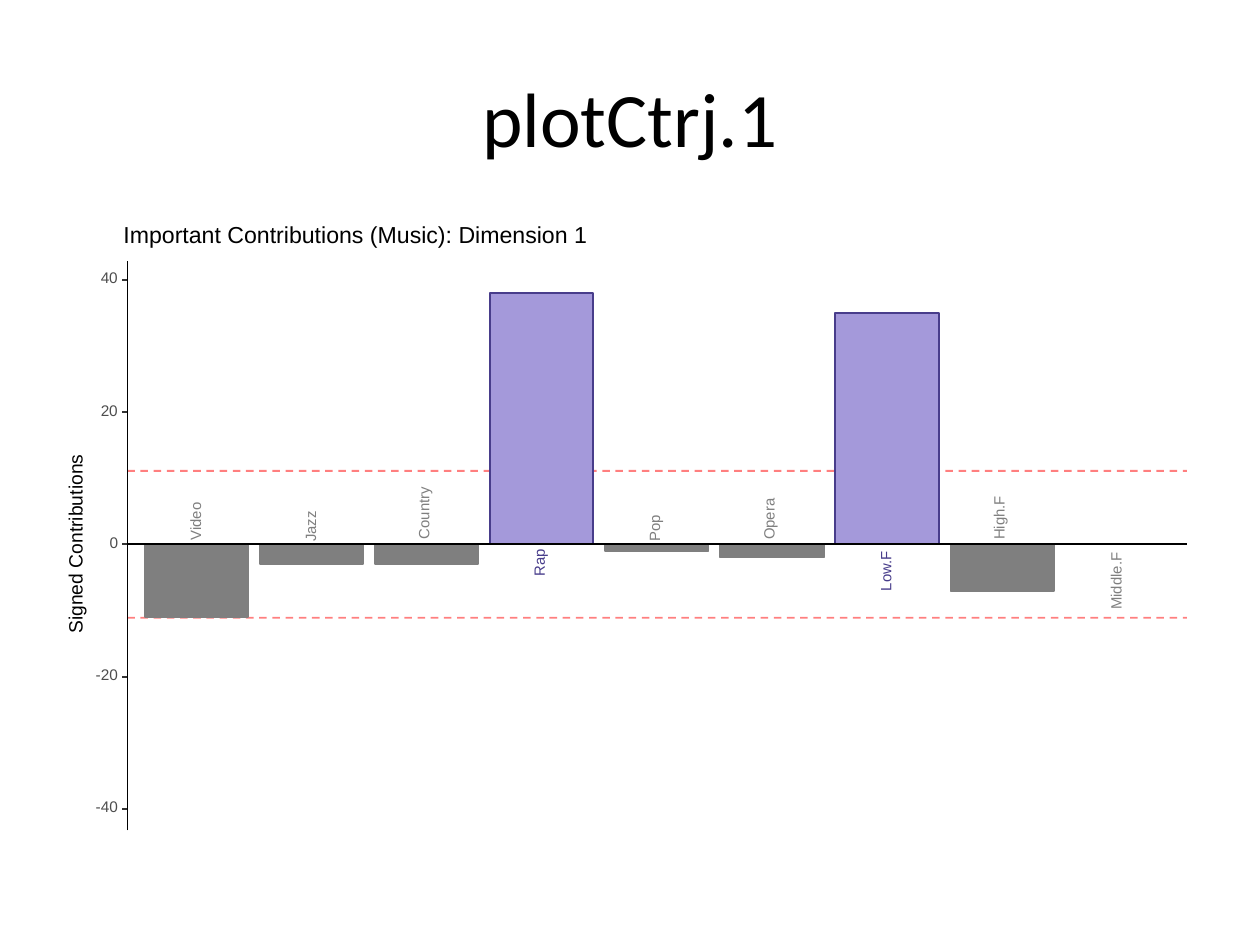
import pptx
import pptx.dml.color
import pptx.enum.dml
import pptx.enum.shapes
import pptx.enum.text
import pptx.oxml
import pptx.oxml.ns
import pptx.util
from pptx.util import Inches


def color(hex_string):
    return pptx.dml.color.RGBColor.from_string(hex_string)


def add_label(text, left, top, width, height, size, hex_string, rotation=0):
    box = plot.shapes.add_textbox(Inches(left), Inches(top), Inches(width), Inches(height))
    box.rotation = rotation
    frame = box.text_frame
    frame.margin_left = frame.margin_right = frame.margin_top = frame.margin_bottom = 0
    frame.vertical_anchor = pptx.enum.text.MSO_ANCHOR.MIDDLE
    frame.word_wrap = False
    paragraph = frame.paragraphs[0]
    paragraph.text = text
    paragraph.line_spacing = pptx.util.Pt(size)
    paragraph.font.size = pptx.util.Pt(size)
    paragraph.font.name = "Arial"
    paragraph.font.color.rgb = color(hex_string)


presentation = pptx.Presentation()
presentation.slide_width = Inches(10)
presentation.slide_height = Inches(7.5)
slide = presentation.slides.add_slide(presentation.slide_layouts[5])

title = slide.shapes.title
title.left, title.top, title.width, title.height = Inches(0.5), Inches(0.3), Inches(9), Inches(1.25)
title.text_frame.vertical_anchor = pptx.enum.text.MSO_ANCHOR.MIDDLE
paragraph = title.text_frame.paragraphs[0]
paragraph.text = "plotCtrj.1"
paragraph.alignment = pptx.enum.text.PP_ALIGN.CENTER
paragraph.font.size = pptx.util.Pt(44)
paragraph.font.name = "Calibri"
paragraph.font.color.rgb = color("000000")

plot = slide.shapes.add_group_shape()
axis_left, axis_right, axis_top, axis_bottom = 1.01, 9.42, 2.07, 6.59
zero = 4.32
inches_per_unit = 1.05 / 20
threshold = 11.1
bar_left, bar_width, bar_pitch = 1.15, 0.82, 8.22 / 9
ticks = [(-40, 0.18), (-20, 0.18), (0, 0.07), (20, 0.14), (40, 0.14)]

contributions = [
    ("Video", -11, 0.32, 0.09, 4.13),
    ("Jazz", -3, 0.26, 0.09, 4.17),
    ("Country", -3, 0.44, 0.12, 4.06),
    ("Rap", 38, 0.23, 0.11, 4.46),
    ("Pop", -1, 0.22, 0.11, 4.19),
    ("Opera", -2, 0.35, 0.12, 4.11),
    ("Low.F", 35, 0.34, 0.09, 4.52),
    ("High.F", -7, 0.37, 0.12, 4.1),
    ("Middle.F", 0, 0.48, 0.09, 4.6),
]

rectangles = [(0.5, 1.75, 9, 4.95, "FFFFFF", "FFFFFF")]
labels = []
for index, (name, value, length, height, middle) in enumerate(contributions):
    important = value > threshold
    fill, outline = ("A499DA", "483D8B") if important else ("7F7F7F", "7F7F7F")
    left = bar_left + index * bar_pitch
    top = zero - max(value, 0) * inches_per_unit
    rectangles.append((left, top, bar_width, abs(value) * inches_per_unit, fill, outline))
    center = left + bar_width / 2 + 0.045 - height / 2
    labels.append((name, center - length / 2, middle - height / 2, length, height, 8.5, outline, 270))

limits = [zero - sign * threshold * inches_per_unit for sign in (1, -1)]
limit_lines = [(axis_left, y, axis_right, y, "FF0000", 1.07) for y in limits]
axis_lines = [
    (axis_left, zero, axis_right, zero, "000000", 1.07),
    (axis_left, axis_bottom, axis_left, axis_top, "000000", 0.75),
]
for value, width in ticks:
    y = zero - value * inches_per_unit
    axis_lines.append((axis_left - 0.04, y, axis_left, y, "333333", 1.07))
    labels.append((str(value), 0.94 - width, y - 0.05, width, 0.09, 8.8, "4D4D4D"))
labels.append(("Signed Contributions", -0.14, 4.21, 1.5, 0.14, 11, "000000", 270))
labels.append(("Important Contributions (Music): Dimension 1", 0.98, 1.79, 3.9, 0.17, 13.2, "000000"))

for kind, items in (
    ("rectangle", rectangles[:1]),
    ("limit", limit_lines),
    ("rectangle", rectangles[1:]),
    ("axis", axis_lines),
):
    for item in items:
        first, second, third, fourth = [Inches(length) for length in item[:4]]
        if kind == "rectangle":
            shape = plot.shapes.add_shape(
                pptx.enum.shapes.MSO_SHAPE.RECTANGLE, first, second, third, fourth)
            shape.shadow.inherit = False
            shape.fill.solid()
            shape.fill.fore_color.rgb = color(item[4])
            shape.line.color.rgb = color(item[5])
            shape.line.width = pptx.util.Pt(1.07)
            continue
        connector = plot.shapes.add_connector(
            pptx.enum.shapes.MSO_CONNECTOR.STRAIGHT, first, second, third, fourth)
        connector.line.color.rgb = color(item[4])
        connector.line.width = pptx.util.Pt(item[5])
        if kind == "limit":
            connector.line.dash_style = pptx.enum.dml.MSO_LINE.DASH
            red = connector._element.spPr.find(".//" + pptx.oxml.ns.qn("a:srgbClr"))
            alpha = pptx.oxml.parse_xml("<a:alpha %s val='50000'/>" % pptx.oxml.ns.nsdecls("a"))
            red.append(alpha)
        effects = pptx.oxml.parse_xml("<a:effectLst %s/>" % pptx.oxml.ns.nsdecls("a"))
        connector._element.spPr.append(effects)

for label in labels:
    add_label(*label)

presentation.save("out.pptx")
